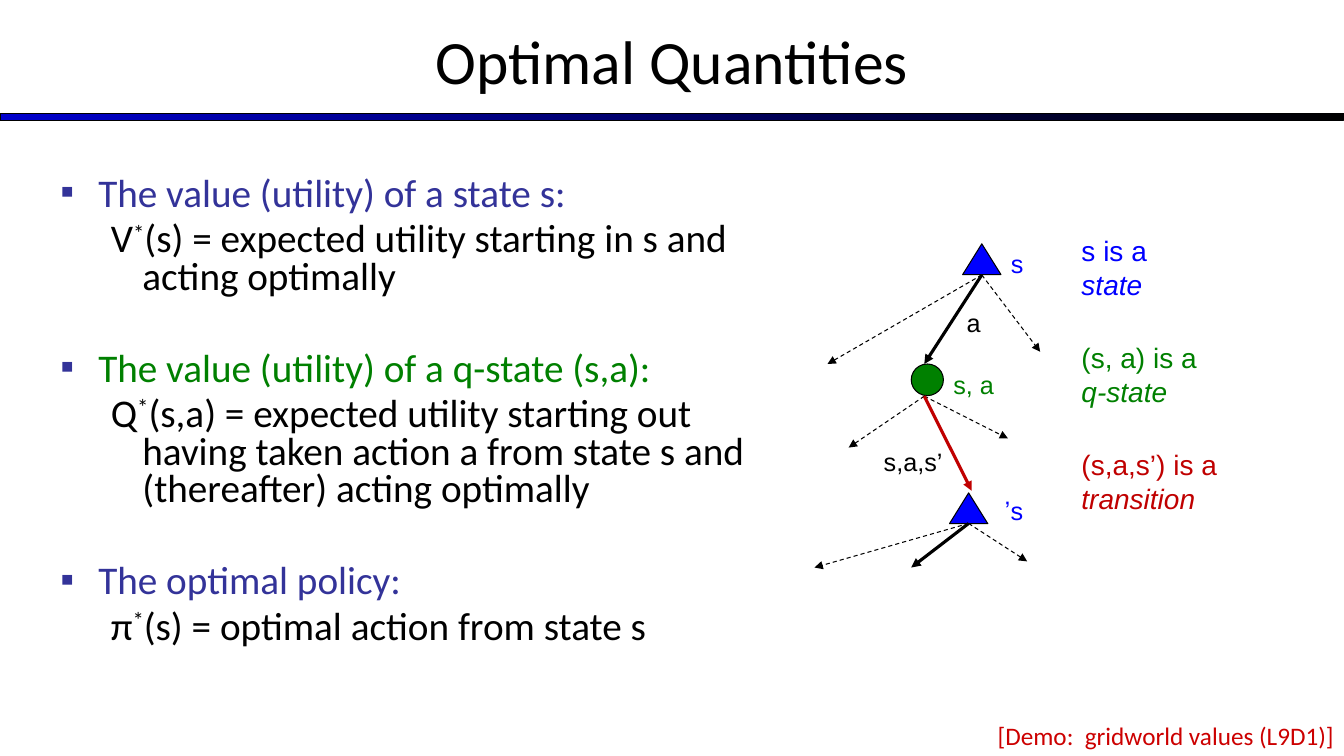
from lxml import etree
from pptx import Presentation
from pptx.dml.color import RGBColor
from pptx.enum import dml, shapes, text
from pptx.oxml.ns import qn
from pptx.util import Pt

COLORS = {
    "black": "000000", "bar": "0000CC", "heading": "333399", "state": "0000FF",
    "q_state": "008000", "transition": "C00000", "demo": "CC0000",
}

TITLE = "Optimal Quantities"
# heading, heading color, symbol before the star, definition after it
DEFINITIONS = [
    ("The value (utility) of a state s:", "heading", "V",
     "(s) = expected utility starting in s and acting optimally"),
    ("The value (utility) of a q-state (s,a):", "q_state", "Q",
     "(s,a) = expected utility starting out having taken action a "
     "from state s and (thereafter) acting optimally"),
    ("The optimal policy:", "heading", "π", "(s) = optimal action from state s"),
]
# text, color, box
NODE_LABELS = [
    ("a", "black", (683.3, 216, 23, 21.6)),
    ("s", "state", (715, 174.2, 23, 28.8)),
    ("s, a", "q_state", (673.9, 260, 46.1, 28.8)),
    ("s,a,s’", "black", (624.2, 315.4, 64.8, 21.6)),
]
# plain part, italic part, color, box
LEGEND = [
    ("s is a ", "state", "state", (765.4, 163.4, 82.8, 55.4)),
    ("(s, a) is a ", "q-state", "q_state", (765.4, 239.8, 102.2, 55.4)),
    ("(s,a,s’) is a \n", "transition", "transition", (765.4, 316.1, 170.6, 55.4)),
]
# preset, fill, box
NODES = [
    (shapes.MSO_SHAPE.ISOSCELES_TRIANGLE, "state", (687.6, 174.2, 27.4, 22)),
    (shapes.MSO_SHAPE.ISOSCELES_TRIANGLE, "state", (678.2, 352.1, 27.4, 22)),
    (shapes.MSO_SHAPE.OVAL, "q_state", (650.9, 260, 23, 22.6)),
]
# start, dashed ends, solid end, solid color
FANS = [
    ((701.3, 196.4), [(591.1, 260), (743, 251.3)], (660.2, 260), "black"),
    ((660.2, 283), [(606.2, 319.7), (720, 313.2)], (694.1, 350.6), "transition"),
    ((691.9, 373.9), [(581.8, 405.4), (733.7, 401)], (650.9, 405.4), "black"),
]
BODY_SIZE = 28
LINE_SPACING = 0.8
PARAGRAPH_GAP = 5.6
LINE_HEIGHT = BODY_SIZE * 1.22 * LINE_SPACING
GROUP_GAP = LINE_HEIGHT + 2 * PARAGRAPH_GAP


def rgb(name):
    return RGBColor.from_string(COLORS[name])


def place(shape, box):
    shape.left, shape.top, shape.width, shape.height = map(Pt, box)


def add_run(paragraph, words, size=18, font="Arial", color="black", italic=None,
            raised=False):
    """Add formatted text; a final newline becomes a line break."""
    run = paragraph.add_run()
    run.text = words.rstrip("\n")
    run.font.size = Pt(size)
    run.font.name = font
    run.font.color.rgb = rgb(color)
    run.font.italic = italic
    if raised:
        run._r.get_or_add_rPr().set("baseline", "30000")
    if words.endswith("\n"):
        paragraph.add_line_break()


def add_text_box(slide, box, align=text.PP_ALIGN.LEFT):
    shape = slide.shapes.add_textbox(*map(Pt, box))
    shape.text_frame.word_wrap = True
    paragraph = shape.text_frame.paragraphs[0]
    paragraph.alignment = align
    return paragraph


def add_arrow(slide, start, end, color="black", width=0.75, dashed=False):
    arrow = slide.shapes.add_connector(
        shapes.MSO_CONNECTOR.STRAIGHT, *map(Pt, start + end))
    arrow.line.color.rgb = rgb(color)
    arrow.line.width = Pt(width)
    if dashed:
        arrow.line.dash_style = dml.MSO_LINE.DASH
    etree.SubElement(arrow.line._get_or_add_ln(), qn("a:tailEnd"), type="triangle")
    etree.SubElement(arrow._element.spPr, qn("a:effectLst"))


def add_outlined(slide, preset, box):
    shape = slide.shapes.add_shape(preset, *map(Pt, box))
    shape.shadow.inherit = False
    shape.line.color.rgb = rgb("black")
    shape.line.width = Pt(0.75)
    return shape


def format_body(paragraph, left, indent, gap, bullet=False):
    paragraph.line_spacing = LINE_SPACING
    paragraph.space_before = Pt(gap)
    properties = paragraph._p.get_or_add_pPr()
    properties.set("marL", str(Pt(left)))
    properties.set("indent", str(Pt(indent)))
    if bullet:
        bullet_color = etree.SubElement(properties, qn("a:buClr"))
        etree.SubElement(bullet_color, qn("a:srgbClr"), val=COLORS["heading"])
        etree.SubElement(properties, qn("a:buChar"), char="▪")
    else:
        etree.SubElement(properties, qn("a:buNone"))


def fill_body(body):
    place(body, (36, 90, 528, 390))
    frame = body.text_frame
    frame.auto_size = text.MSO_AUTO_SIZE.NONE
    frame.margin_top = Pt(3.6 + LINE_HEIGHT + PARAGRAPH_GAP)
    style = {"size": BODY_SIZE, "font": "Calibri"}
    for index, (heading, color, symbol, meaning) in enumerate(DEFINITIONS):
        paragraph = frame.add_paragraph() if index else frame.paragraphs[0]
        format_body(paragraph, 27, -27, GROUP_GAP if index else 0, bullet=True)
        add_run(paragraph, heading, color=color, **style)
        paragraph = frame.add_paragraph()
        paragraph.level = 1
        format_body(paragraph, 58.5, -22.5, PARAGRAPH_GAP)
        add_run(paragraph, symbol, **style)
        add_run(paragraph, "*", raised=True, **style)
        add_run(paragraph, meaning, **style)


def draw_tree(slide):
    for preset, color, box in NODES:
        node = add_outlined(slide, preset, box)
        node.fill.solid()
        node.fill.fore_color.rgb = rgb(color)
    for start, dashed_ends, solid_end, color in FANS:
        for end in dashed_ends:
            add_arrow(slide, start, end, dashed=True)
        add_arrow(slide, start, solid_end, color=color, width=2.25)
    for words, color, box in NODE_LABELS:
        add_run(add_text_box(slide, box), words, color=color)
    successor = add_text_box(slide, (707.8, 350.6, 30.2, 28.8), text.PP_ALIGN.RIGHT)
    successor._p.get_or_add_pPr().set("rtl", "1")
    add_run(successor, "s’", color="state")


def main():
    presentation = Presentation()
    presentation.slide_width, presentation.slide_height = Pt(960), Pt(540)
    slide = presentation.slides.add_slide(presentation.slide_layouts[1])

    bar = add_outlined(slide, shapes.MSO_SHAPE.RECTANGLE, (0, 81, 960, 5))
    bar.fill.gradient()
    bar.fill.gradient_angle = 0
    for stop, color in zip(bar.fill.gradient_stops, ("bar", "black")):
        stop.color.rgb = rgb(color)

    title = slide.shapes.title
    place(title, (0, -2, 960, 90))
    title.text_frame.vertical_anchor = text.MSO_ANCHOR.MIDDLE
    add_run(title.text_frame.paragraphs[0], TITLE, size=44, font="Calibri")
    fill_body(slide.placeholders[1])

    draw_tree(slide)
    for plain, term, color, box in LEGEND:
        paragraph = add_text_box(slide, box)
        add_run(paragraph, plain, size=20, color=color)
        add_run(paragraph, term, size=20, color=color, italic=True)
    demo = add_text_box(slide, (606, 511, 354, 29), text.PP_ALIGN.RIGHT)
    add_run(demo, "[Demo:  gridworld values (L9D1)]", font="Calibri", color="demo")

    presentation.save("out.pptx")


if __name__ == "__main__":
    main()
